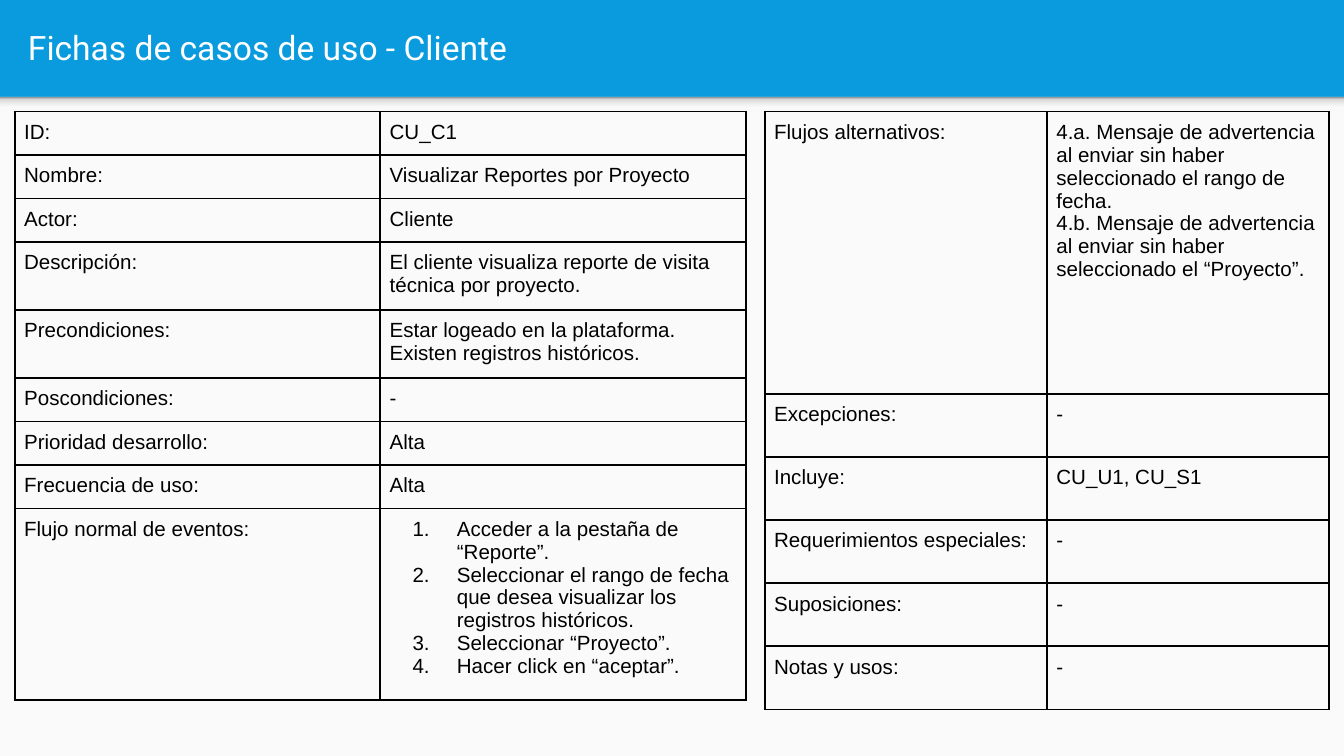
from lxml import etree
from pptx import Presentation
from pptx.dml.color import RGBColor
from pptx.enum.shapes import MSO_SHAPE
from pptx.enum.text import MSO_ANCHOR
from pptx.oxml.ns import qn
from pptx.util import Inches, Pt

RECTANGLE = MSO_SHAPE.RECTANGLE
MIDDLE = MSO_ANCHOR.MIDDLE

# Content: each row is a label and its paragraphs
TITLE = "Fichas de casos de uso - Cliente"
NUMBERED_LABEL = "Flujo normal de eventos:"
USE_CASE = [
    ("ID:", ["CU_C1"]),
    ("Nombre:", ["Visualizar Reportes por Proyecto"]),
    ("Actor:", ["Cliente"]),
    ("Descripción:", ["El cliente visualiza reporte de visita técnica por proyecto."]),
    ("Precondiciones:", ["Estar logeado en la plataforma.", "Existen registros históricos."]),
    ("Poscondiciones:", ["-"]),
    ("Prioridad desarrollo:", ["Alta"]),
    ("Frecuencia de uso:", ["Alta"]),
    (NUMBERED_LABEL, [
        "Acceder a la pestaña de “Reporte”.",
        "Seleccionar el rango de fecha que desea visualizar los registros históricos.",
        "Seleccionar “Proyecto”.",
        "Hacer click en “aceptar”.",
    ]),
]
DETAILS = [
    ("Flujos alternativos:", [
        "4.a. Mensaje de advertencia al enviar sin haber seleccionado el rango de fecha.",
        "4.b. Mensaje de advertencia al enviar sin haber seleccionado el “Proyecto”.",
    ]),
    ("Excepciones:", ["-"]),
    ("Incluye:", ["CU_U1, CU_S1"]),
    ("Requerimientos especiales:", ["-"]),
    ("Suposiciones:", ["-"]),
    ("Notas y usos:", ["-"]),
]

THEME = {
    "header": "099BDD", "body": "FAFAFA", "title": "FFFFFF", "ink": "000000",
    "shadow": [(0, "F9F9F9"), (36, "F9F9F9"), (80, "DEDEDE"), (100, "999999")],
    "title_font": "Roboto", "title_size": 18,
    "table_font": "Arial", "table_size": 11, "border": 1,
}
WIDTH = 10
HEIGHT = WIDTH * 9 / 16
HEADER_HEIGHT = 0.72
TABLE_TOP, TABLE_FRAME, CELL_MARGIN = 0.83, 3.28, 0.07
FIT_TEXT = 0.01  # minimal row height: the row grows to its text


def style_font(font, name, size, color):
    font.name, font.size = name, Pt(size)
    font.color.rgb = RGBColor.from_string(color)


def add_band(slide, height):
    band = slide.shapes.add_shape(
        RECTANGLE, 0, Inches(HEADER_HEIGHT), Inches(WIDTH), Inches(height))
    band.shadow.inherit = False
    band.line.fill.background()
    return band


def set_gradient(shape, stops):
    shape.fill.gradient()
    shape.fill.gradient_angle = 90
    stop_list = shape._element.spPr.find(qn("a:gradFill")).find(qn("a:gsLst"))
    for stop in list(stop_list):
        stop_list.remove(stop)
    for position, color in stops:
        stop = etree.SubElement(stop_list, qn("a:gs"), pos=str(position * 1000))
        etree.SubElement(stop, qn("a:srgbClr"), val=color)


def set_borders(cell):
    properties = cell._tc.get_or_add_tcPr()
    for index, side in enumerate("LRTB"):
        line = etree.Element(qn(f"a:ln{side}"), w=str(Pt(THEME["border"])))
        fill = etree.SubElement(line, qn("a:solidFill"))
        etree.SubElement(fill, qn("a:srgbClr"), val=THEME["ink"])
        properties.insert(index, line)


def set_number(paragraph):
    properties = paragraph._p.get_or_add_pPr()
    properties.set("marL", str(Inches(0.5)))
    properties.set("indent", str(Inches(-0.33)))
    etree.SubElement(properties, qn("a:buAutoNum"), type="arabicPeriod")


def fill_cell(cell, lines, numbered=False):
    cell.margin_left = cell.margin_right = Inches(CELL_MARGIN)
    cell.margin_top = cell.margin_bottom = Inches(CELL_MARGIN)
    cell.fill.background()
    set_borders(cell)
    cell.text_frame.text = "\n".join(lines)
    for paragraph in cell.text_frame.paragraphs:
        if numbered:
            set_number(paragraph)
        style_font(paragraph.font, THEME["table_font"], THEME["table_size"], THEME["ink"])


def add_card(slide, left, column_width, rows, heights):
    frame = slide.shapes.add_table(
        len(rows), 2, Inches(left), Inches(TABLE_TOP),
        Inches(TABLE_FRAME), Inches(TABLE_FRAME))
    table = frame.table
    table.first_row = table.horz_banding = False
    for column in table.columns:
        column.width = Inches(column_width)
    for index, (label, lines) in enumerate(rows):
        table.rows[index].height = Inches(heights[index])
        fill_cell(table.cell(index, 0), [label])
        fill_cell(table.cell(index, 1), lines, label == NUMBERED_LABEL)
    # Row and column changes resize the frame, so its size is set last
    frame.width = frame.height = Inches(TABLE_FRAME)


def main():
    presentation = Presentation()
    presentation.slide_width, presentation.slide_height = Inches(WIDTH), Inches(HEIGHT)
    slide = presentation.slides.add_slide(presentation.slide_layouts[6])

    # Header colour, light body and the header's soft shadow
    slide.background.fill.solid()
    slide.background.fill.fore_color.rgb = RGBColor.from_string(THEME["header"])
    body = add_band(slide, HEIGHT - HEADER_HEIGHT)
    body.fill.solid()
    body.fill.fore_color.rgb = RGBColor.from_string(THEME["body"])
    set_gradient(add_band(slide, 0.12), THEME["shadow"])

    # Title
    title = slide.shapes.add_textbox(Inches(0.11), Inches(0.02), Inches(9.65), Inches(0.66))
    frame = title.text_frame
    frame.word_wrap, frame.vertical_anchor = True, MIDDLE
    frame.margin_left = frame.margin_right = Inches(0.1)
    frame.margin_top = frame.margin_bottom = Inches(0.1)
    frame.text = TITLE
    style_font(frame.paragraphs[0].font, THEME["title_font"], THEME["title_size"], THEME["title"])

    # Use case tables
    add_card(slide, 0.11, 2.72, USE_CASE, [FIT_TEXT] * len(USE_CASE))
    add_card(slide, 5.69, 2.1, DETAILS, [2.1] + [0.47] * (len(DETAILS) - 1))

    presentation.save("out.pptx")


if __name__ == "__main__":
    main()
